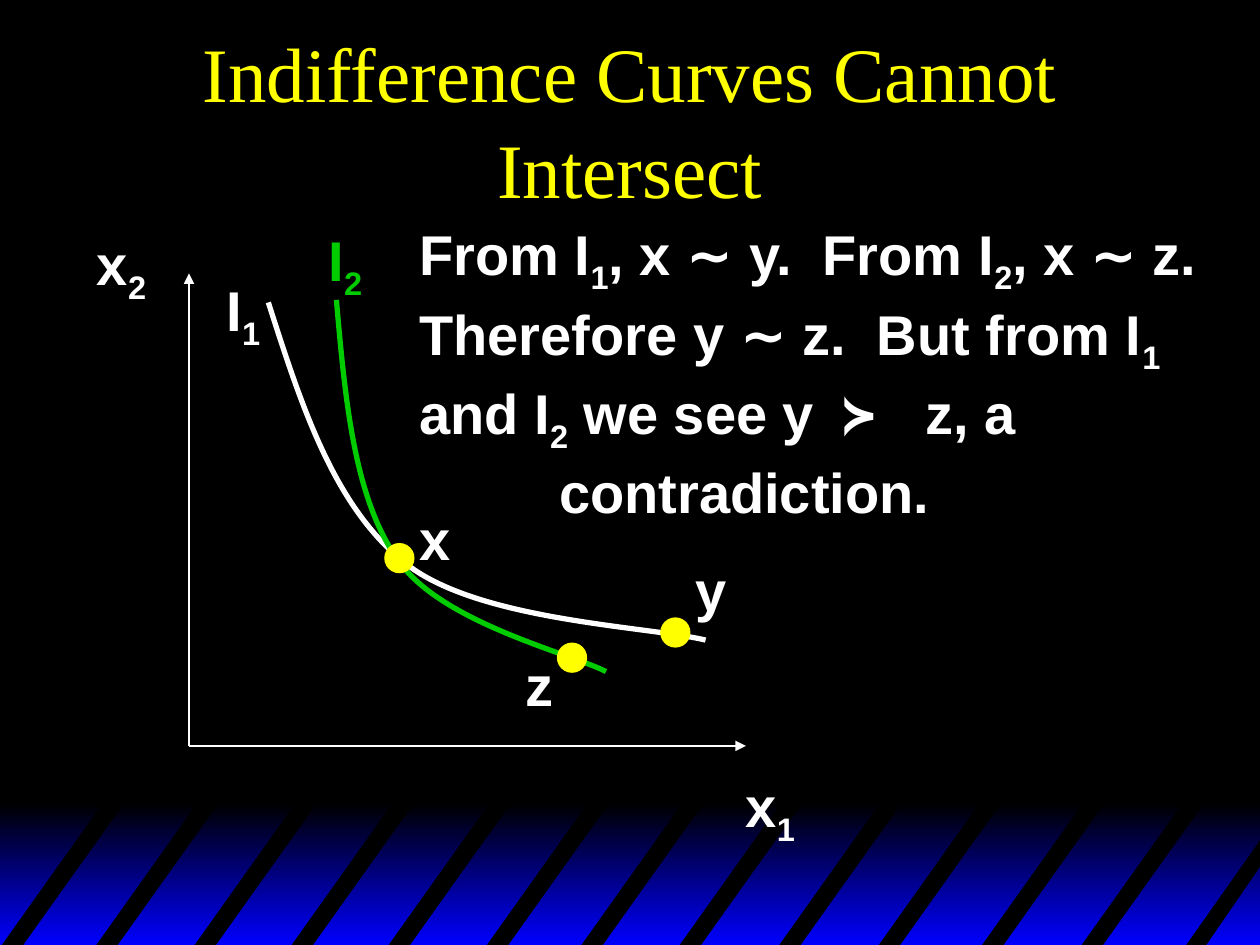
"""Build the slide showing that indifference curves cannot intersect."""
from lxml import etree
from pptx import Presentation, util as u
from pptx.dml.color import RGBColor
from pptx.enum import shapes, text
from pptx.oxml.ns import qn

THEME = {
    "black": RGBColor(0, 0, 0), "blue": RGBColor(0, 0, 255),
    "white": RGBColor(255, 255, 255), "yellow": RGBColor(255, 255, 0),
    "green": RGBColor(0, 204, 0),
    "title": {"name": "Times New Roman", "size": u.Pt(44), "bold": False},
    "label": {"name": "Arial", "size": u.Pt(32), "bold": True},
    "symbol": "DejaVu Sans Mono", "leading": 1.04,
    "axis": u.Pt(1), "curve": u.Pt(3),
}
CELL = u.Inches(0.1)
COLS, ROWS = 100, 75


def add_text(s, box, paragraphs, style, color, **frame):
    """Add a text box; parts between bars are subscripts or symbols."""
    tf = s.shapes.add_textbox(*(int(n * CELL) for n in box)).text_frame
    for name, value in frame.items():
        setattr(tf, name, value)
    for i, line in enumerate(paragraphs):
        p = tf.add_paragraph() if i else tf.paragraphs[0]
        p.line_spacing = THEME["leading"]
        for j, part in enumerate(line.split("|")):
            if not part:
                continue
            r = p.add_run()
            r.text = part
            for name, value in THEME[style].items():
                setattr(r.font, name, value)
            r.font.color.rgb = THEME[color]
            if j % 2 and part.isdigit():
                r.font._element.set("baseline", "-25000")
            elif j % 2:
                r.font.name = THEME["symbol"]
    return tf


def add_outline(s, points, close):
    """Add a freeform through points given in grid cells."""
    start, *rest = [(round(x * CELL), round(y * CELL)) for x, y in points]
    builder = s.shapes.build_freeform(*start)
    builder.add_line_segments(rest, close=close)
    sp = builder.convert_to_shape()
    sp.shadow.inherit = False
    return sp


prs = Presentation()
prs.slide_width, prs.slide_height = COLS * CELL, ROWS * CELL
s = prs.slides.add_slide(prs.slide_layouts[6])
s.background.fill.solid()
s.background.fill.fore_color.rgb = THEME["black"]

band = s.shapes.add_shape(shapes.MSO_SHAPE.RECTANGLE, 0, int(63.8 * CELL),
                          int(100.2 * CELL), int(11.2 * CELL))
band.shadow.inherit = False
band.line.fill.background()
band.fill.gradient()
band.fill.gradient_angle = 270
for stop, color in zip(band.fill.gradient_stops, ("black", "blue")):
    stop.color.rgb = THEME[color]

top, bottom, lean, width = 63.4, 75.2, 8.4, 1.7
lefts = (0, 7.5, 15.3, 23, 30.7, 38.5, 46, 53.8, 61.7, 69.6, 77.8, 85.7)
stripes = [[(x, bottom), (x + lean, top), (x + lean + width, top), (x + width, bottom)]
           for x in lefts]
stripes.append([(94, bottom), (100.2, 66.4), (100.2, 68.5), (95.6, bottom)])
for stripe in stripes:
    sp = add_outline(s, stripe, True)
    sp.fill.solid()
    sp.fill.fore_color.rgb = THEME["black"]
    sp.line.fill.background()

tf = add_text(s, (7.5, 4.2, 85, 13.3), ["Indifference Curves Cannot Intersect"],
              "title", "yellow", word_wrap=True, vertical_anchor=text.MSO_ANCHOR.MIDDLE)
tf.paragraphs[0].alignment = text.PP_ALIGN.CENTER
tf.paragraphs[0].add_line_break()

origin = (15, 59.2)
for end in ((15, 21.7), (59.2, 59.2)):
    axis = s.shapes.add_connector(shapes.MSO_CONNECTOR.STRAIGHT,
                                  *(int(n * CELL) for n in origin + end))
    axis.line.color.rgb, axis.line.width = THEME["white"], THEME["axis"]
    etree.SubElement(axis.line._get_or_add_ln(), qn("a:tailEnd"), type="triangle")
    etree.SubElement(axis._element.spPr, qn("a:effectLst"))

labels = [
    ("x|2|", (6.7, 17.5, 7.5, 7.1), "white"),
    ("x|1|", (58.2, 60.5, 5.9, 7.1), "white"),
    ("x", (32.3, 39.3, 4.5, 6.3), "white"),
    ("y", (54.2, 43.4, 4.5, 6.3), "white"),
    ("z", (40.7, 50.9, 4.2, 6.3), "white"),
    ("I|1|", (17, 21.1, 4.7, 7.1), "white"),
    ("I|2|", (25.1, 17.2, 4.7, 7.1), "green"),
]
for label, box, color in labels:
    add_text(s, box, [label], "label", color, word_wrap=False)

argument = [
    "From I|1|, x ∼ y.  From I|2|, x ∼ z.",
    "Therefore y ∼ z.  But from I|1| and I|2| we see y\t|≻|\tz, a",
    "contradiction.",
]
tf = add_text(s, (32.3, 16.7, 65.2, 24.6), argument, "label", "white", word_wrap=True)
tabs = etree.SubElement(tf.paragraphs[1]._p.get_or_add_pPr(), qn("a:tabLst"))
for stop in (33.6, 40.2):
    etree.SubElement(tabs, qn("a:tab"), pos=str(int(stop * CELL)), algn="l")
tf.paragraphs[2]._p.get_or_add_pPr().set("marL", str(int(11.1 * CELL)))

curves = {
    "white": [(21.3, 24), (23.9, 32.1), (26.5, 40.3), (32.3, 44.8),
              (38.1, 49.3), (51.4, 49.7), (56, 50.8)],
    "green": [(26.7, 23.8), (27.4, 31.7), (28.1, 39.7), (31.7, 44.6),
              (35.2, 49.5), (45.4, 51.9), (48.1, 53.3)],
}
for color, points in curves.items():
    sp = add_outline(s, points, False)
    sp.fill.background()
    sp.line.color.rgb, sp.line.width = THEME[color], THEME["curve"]
    steps = sp._element.xpath(".//a:lnTo")
    for i in range(0, len(steps), 3):
        outline = steps[i].getparent()
        bend = etree.SubElement(outline, qn("a:cubicBezTo"))
        for step in steps[i:i + 3]:
            bend.append(step[0])
            outline.remove(step)

dot = int(2.4 * CELL)
for x, y in ((30.5, 43.1), (44.2, 51), (52.4, 49)):
    sp = s.shapes.add_shape(shapes.MSO_SHAPE.OVAL, int(x * CELL), int(y * CELL), dot, dot)
    sp.shadow.inherit = False
    sp.fill.solid()
    sp.fill.fore_color.rgb = THEME["yellow"]
    sp.line.fill.background()

prs.save("out.pptx")
